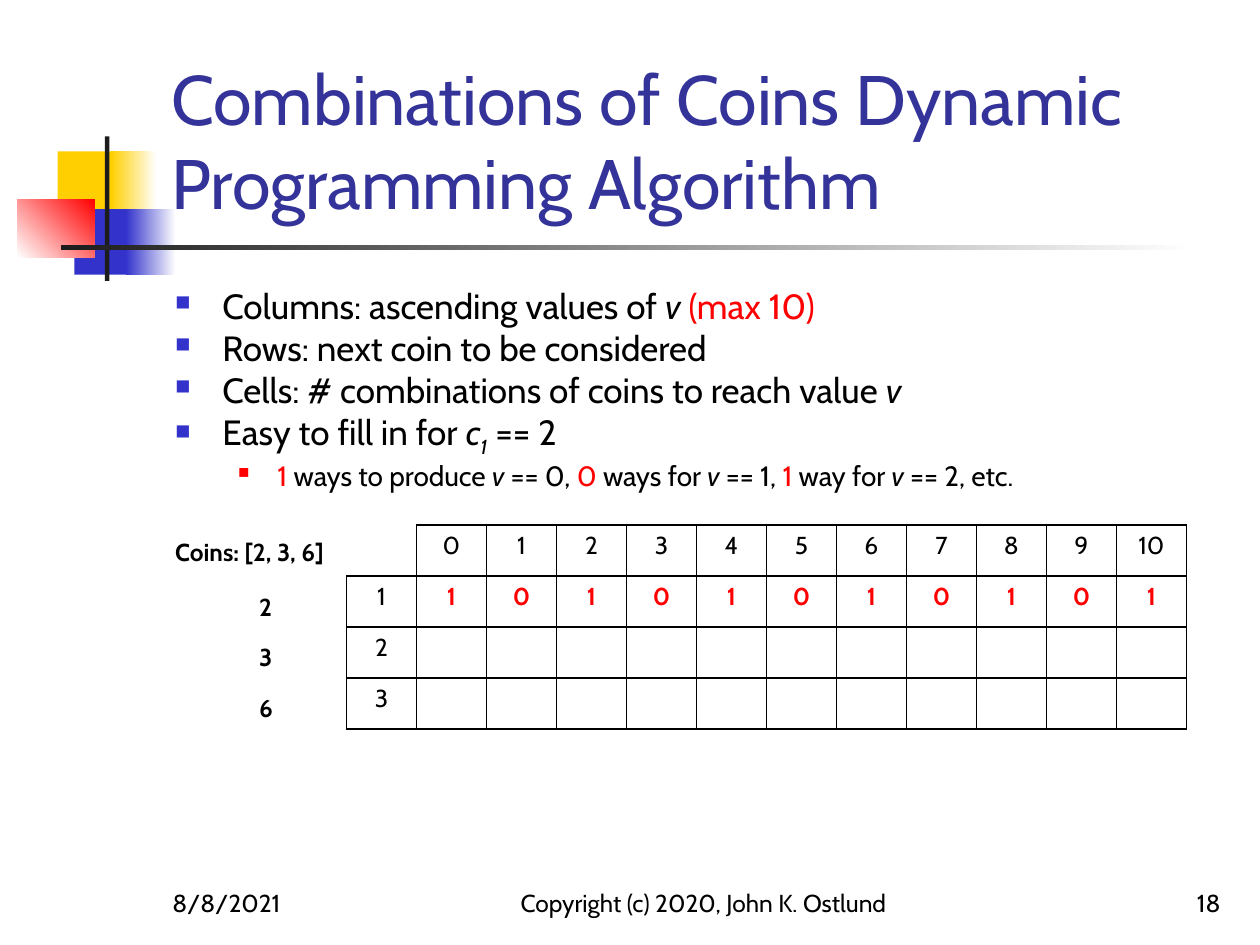
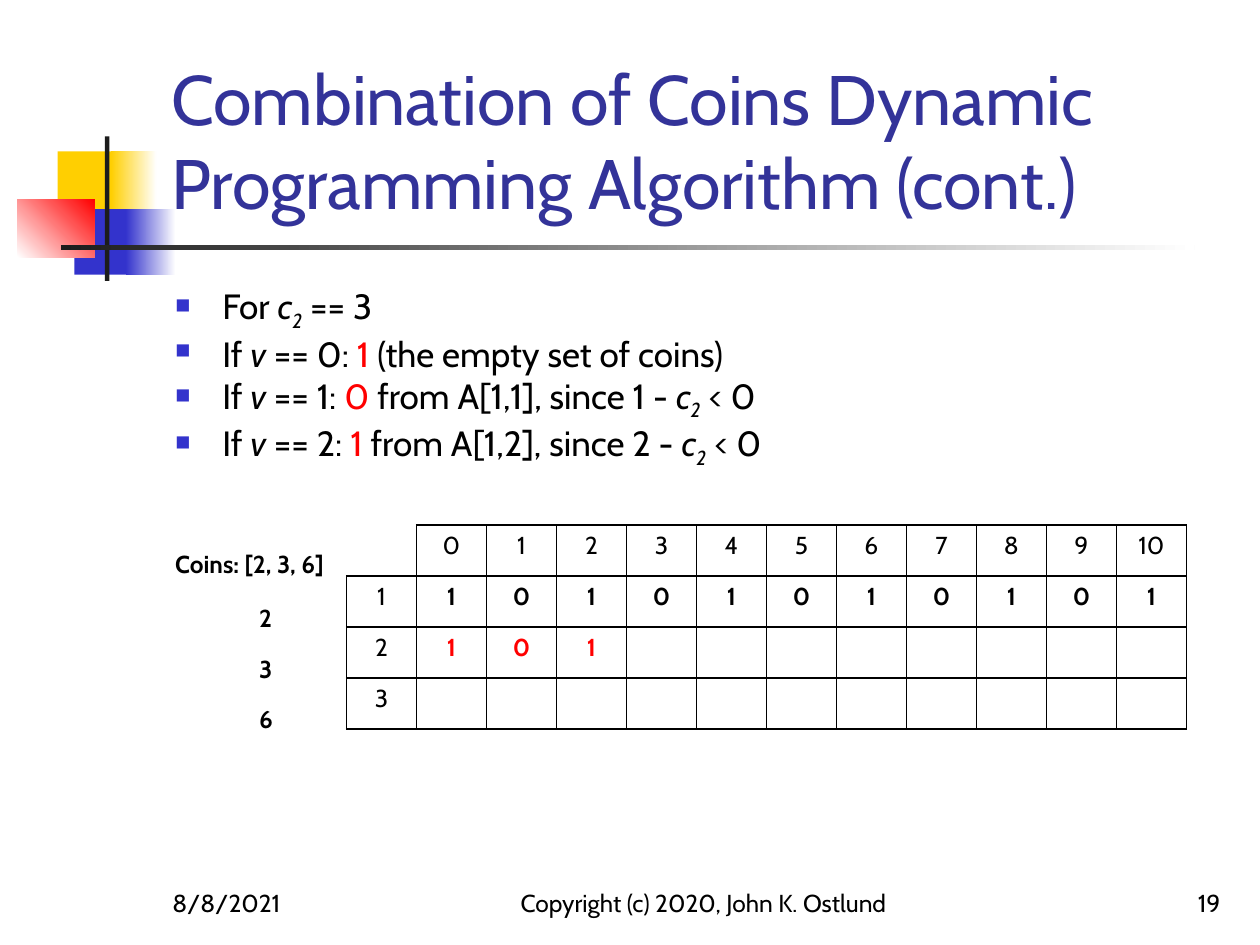
from lxml.etree import SubElement
from pptx import Presentation
from pptx.dml.color import RGBColor
from pptx.enum.shapes import MSO_SHAPE
from pptx.enum.text import MSO_ANCHOR, MSO_AUTO_SIZE, PP_ALIGN
from pptx.oxml.ns import qn
from pptx.util import Pt

FONT = "Cabin"
BLACK, WHITE, RED = "000000", "FFFFFF", "FF0000"
YELLOW, BLUE, CHARCOAL, TITLE_BLUE = "FFCF01", "3333CC", "1C1C1C", "333399"
TITLE_SIZE, BODY_SIZE, SUB_SIZE, SMALL_SIZE = 40, 20, 16, 14

# left, top, width, height, colours from start to end, angle
DECORATIONS = [
    (33, 86.5, 34.5, 37.5, [YELLOW], 0),
    (63.5, 86.5, 26, 37.5, [YELLOW, WHITE], 0),
    (42.5, 119.5, 33, 37.5, [BLUE], 0),
    (72, 119.5, 28.5, 37.5, [BLUE, WHITE], 0),
    (10, 113.75, 44, 33.25, [WHITE, RED], 45),
    (60, 78, 2.5, 82.5, [CHARCOAL], 0),
    (34.75, 140.25, 648, 2.5, [CHARCOAL, WHITE], 0),
]
RUN_STYLES = {
    "plain": {},
    "variable": {"italic": True},
    "index": {"italic": True, "baseline": -25000},
    "result": {"color": RED},
}
# left indent, hanging, bullet colour, bullet percent, text size
BULLET_LEVELS = [(27, 27, BLUE, 60, BODY_SIZE), (58.5, 22.5, RED, 55, SUB_SIZE)]
MAX_VALUE = 10
COINS = [2, 3, 6]
COLUMN_WIDTH, ROW_HEIGHT = 40, 29.15


def rgb(color):
    return RGBColor.from_string(color)


class Deck:
    def __init__(self):
        self.presentation = Presentation()
        self.presentation.slide_width = Pt(720)
        self.presentation.slide_height = Pt(540)
        self.slide = None

    def add_slide(self, title, number):
        """Start a slide with its decorations, title and footers."""
        self.slide = self.presentation.slides.add_slide(
            self.presentation.slide_layouts[5])
        for decoration in DECORATIONS:
            self.rectangle(*decoration)
        self.title(title)
        self.footer(91.5, 150, "8/8/2021", PP_ALIGN.LEFT)
        self.footer(288, 228, "Copyright (c) 2020, John K. Ostlund", PP_ALIGN.CENTER)
        self.footer(554.5, 150, str(number), PP_ALIGN.RIGHT)

    def rectangle(self, left, top, width, height, colors, angle):
        shape = self.slide.shapes.add_shape(
            MSO_SHAPE.RECTANGLE, Pt(left), Pt(top), Pt(width), Pt(height))
        shape.shadow.inherit = False
        shape.line.fill.background()
        if len(colors) == 1:
            shape.fill.solid()
            shape.fill.fore_color.rgb = rgb(colors[0])
            return
        shape.fill.gradient()
        shape.fill.gradient_angle = angle
        for stop, color, position in zip(shape.fill.gradient_stops, colors, (0, 1)):
            stop.color.rgb = rgb(color)
            stop.position = position

    def title(self, text):
        shape = self.slide.shapes.title
        shape.element.getparent().append(shape.element)  # in front of the squares
        bounds = {"left": 90.75, "top": 16.5, "width": 613.5, "height": 115}
        for name, value in bounds.items():
            setattr(shape, name, Pt(value))
        frame = shape.text_frame
        frame.auto_size = MSO_AUTO_SIZE.NONE
        frame.vertical_anchor = MSO_ANCHOR.BOTTOM
        frame.paragraphs[0].alignment = PP_ALIGN.LEFT
        self.run(frame.paragraphs[0], text, TITLE_SIZE, color=TITLE_BLUE)

    def text_box(self, left, top, width, height, anchor=MSO_ANCHOR.TOP):
        frame = self.slide.shapes.add_textbox(
            Pt(left), Pt(top), Pt(width), Pt(height)).text_frame
        frame.word_wrap = True
        frame.vertical_anchor = anchor
        return frame

    def run(self, paragraph, text, size, color=BLACK, baseline=None, **formats):
        run = paragraph.add_run()
        run.text = text
        run.font.color.rgb = rgb(color)
        for name, value in {"name": FONT, "size": Pt(size), **formats}.items():
            setattr(run.font, name, value)
        if baseline:
            run.font._element.set("baseline", str(baseline))

    def footer(self, left, width, text, alignment):
        paragraph = self.text_box(left, 492, width, 36, MSO_ANCHOR.BOTTOM).paragraphs[0]
        paragraph.alignment = alignment
        self.run(paragraph, text, SMALL_SIZE)

    def bullets(self, items):
        """Write items of (level, runs), each run being (text, style name)."""
        frame = self.text_box(93, 159, 612, 130)
        for index, (level, runs) in enumerate(items):
            paragraph = frame.add_paragraph() if index else frame.paragraphs[0]
            paragraph.level = level
            indent, hanging, color, percent, size = BULLET_LEVELS[level]
            properties = paragraph._p.get_or_add_pPr()
            properties.set("marL", str(Pt(indent)))
            properties.set("indent", str(-Pt(hanging)))
            bullet_color = SubElement(properties, qn("a:buClr"))
            SubElement(bullet_color, qn("a:srgbClr"), val=color)
            SubElement(properties, qn("a:buSzPct"), val=str(percent * 1000))
            SubElement(properties, qn("a:buChar"), char="■")
            for text, style in runs:
                self.run(paragraph, text, size, **RUN_STYLES[style])

    def coin_list(self, top):
        frame = self.text_box(93, top, 105, 115)
        self.run(frame.paragraphs[0], f"Coins: {COINS}", SMALL_SIZE, bold=True)
        for index, coin in enumerate(COINS):
            paragraph = frame.add_paragraph()
            paragraph.space_before = Pt(12 if index else 14.4)
            paragraph._p.get_or_add_pPr().set("marL", str(Pt(48)))
            self.run(paragraph, str(coin), SMALL_SIZE, bold=True)

    def combinations_table(self, filled_rows):
        """Draw the grid of values by coins; the last filled row is the new one."""
        row_count, column_count = len(COINS) + 1, MAX_VALUE + 2
        table = self.slide.shapes.add_table(
            row_count, column_count, Pt(198), Pt(300),
            Pt(COLUMN_WIDTH * column_count), Pt(ROW_HEIGHT * row_count)).table
        table.first_row = table.horz_banding = False
        for column in table.columns:
            column.width = Pt(COLUMN_WIDTH)
        for row in table.rows:
            row.height = Pt(ROW_HEIGHT)
        for row in range(row_count):
            for column in range(column_count):
                cell = table.cell(row, column)
                cell.margin_bottom = 0
                corner = row == column == 0
                self.borders(cell, hidden=("a:lnL", "a:lnT") if corner else ())
                cell.fill.background()
                paragraph = cell.text_frame.paragraphs[0]
                paragraph.alignment = PP_ALIGN.CENTER
                if corner:
                    continue
                if row == 0 or column == 0:
                    self.run(paragraph, str(row or column - 1), SMALL_SIZE)
                elif row <= len(filled_rows) and column <= len(filled_rows[row - 1]):
                    color = RED if row == len(filled_rows) else BLACK
                    ways = filled_rows[row - 1][column - 1]
                    self.run(paragraph, str(ways), SMALL_SIZE, color, bold=True)

    def borders(self, cell, hidden):
        properties = cell._tc.get_or_add_tcPr()
        for side in ("a:lnL", "a:lnR", "a:lnT", "a:lnB"):
            line = SubElement(properties, qn(side), w=str(Pt(1)))
            if side in hidden:
                SubElement(line, qn("a:noFill"))
            else:
                fill = SubElement(line, qn("a:solidFill"))
                SubElement(fill, qn("a:srgbClr"), val=BLACK)


def unreachable_value(value, ways):
    """Bullet for a value too small for the second coin."""
    return (0, [("If ", "plain"), ("v", "variable"), (f" == {value}: ", "plain"),
                (str(ways), "result"),
                (f" from A[1,{value}], since {value} - ", "plain"),
                ("c", "variable"), ("2", "index"), (" < 0", "plain")])


def main():
    deck = Deck()
    first_coin_ways = [1 - value % 2 for value in range(MAX_VALUE + 1)]
    second_coin_ways = [1, 0, 1]

    deck.add_slide("Combinations of Coins Dynamic Programming Algorithm", 18)
    deck.bullets([
        (0, [("Columns: ascending values of ", "plain"), ("v ", "variable"),
             ("(max 10)", "result")]),
        (0, [("Rows: next coin to be considered", "plain")]),
        (0, [("Cells: # combinations of coins to reach value ", "plain"),
             ("v", "variable")]),
        (0, [("Easy to fill in for ", "plain"), ("c", "variable"), ("1", "index"),
             (" == 2", "plain")]),
        (1, [("1", "result"), (" ways to produce ", "plain"), ("v", "variable"),
             (" == 0, ", "plain"), ("0", "result"), (" ways for ", "plain"),
             ("v", "variable"), (" == 1, ", "plain"), ("1", "result"),
             (" way for ", "plain"), ("v", "variable"), (" == 2, etc.", "plain")]),
    ])
    deck.coin_list(303.5)
    deck.combinations_table([first_coin_ways])

    deck.add_slide("Combination of Coins Dynamic Programming Algorithm (cont.)", 19)
    deck.bullets([
        (0, [("For ", "plain"), ("c", "variable"), ("2", "index"), (" == 3", "plain")]),
        (0, [("If ", "plain"), ("v", "variable"), (" == 0: ", "plain"),
             ("1", "result"), (" (the empty set of coins)", "plain")]),
        unreachable_value(1, second_coin_ways[1]),
        unreachable_value(2, second_coin_ways[2]),
    ])
    deck.coin_list(310)
    deck.combinations_table([first_coin_ways, second_coin_ways])

    deck.presentation.save("out.pptx")


if __name__ == "__main__":
    main()
